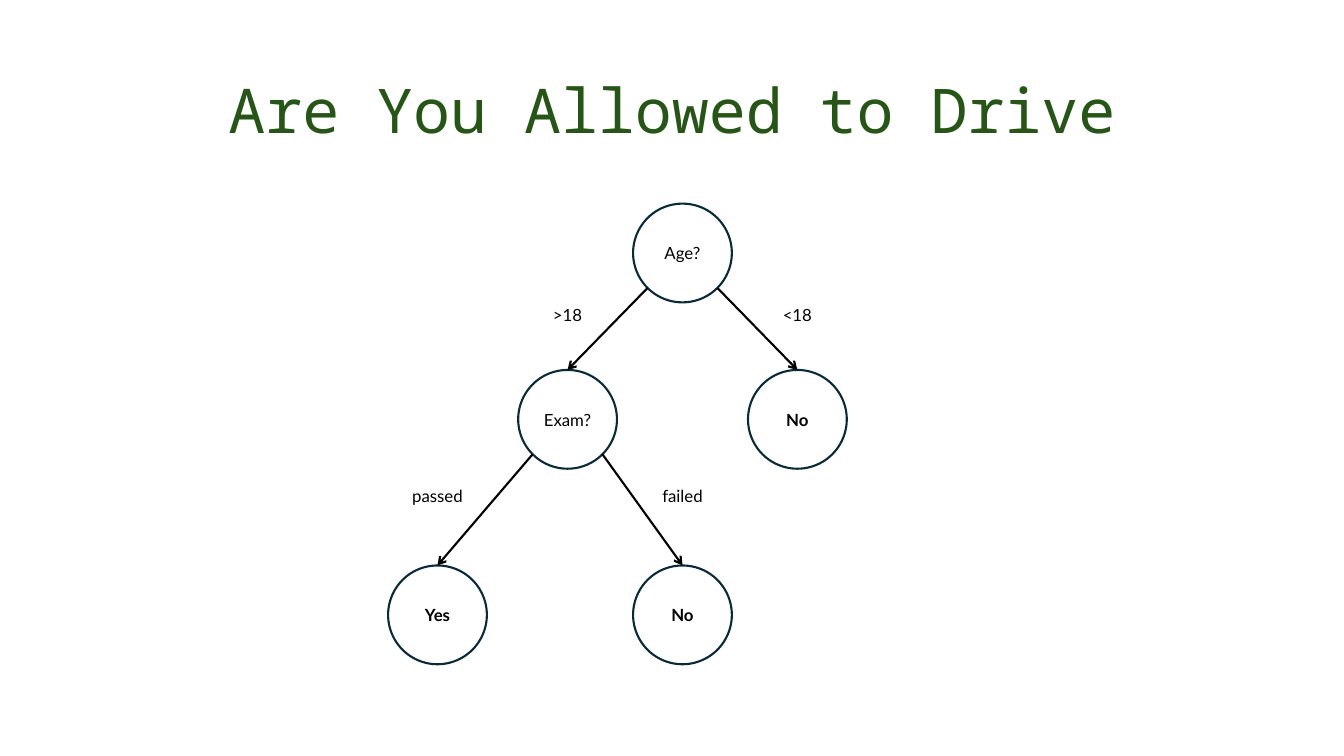
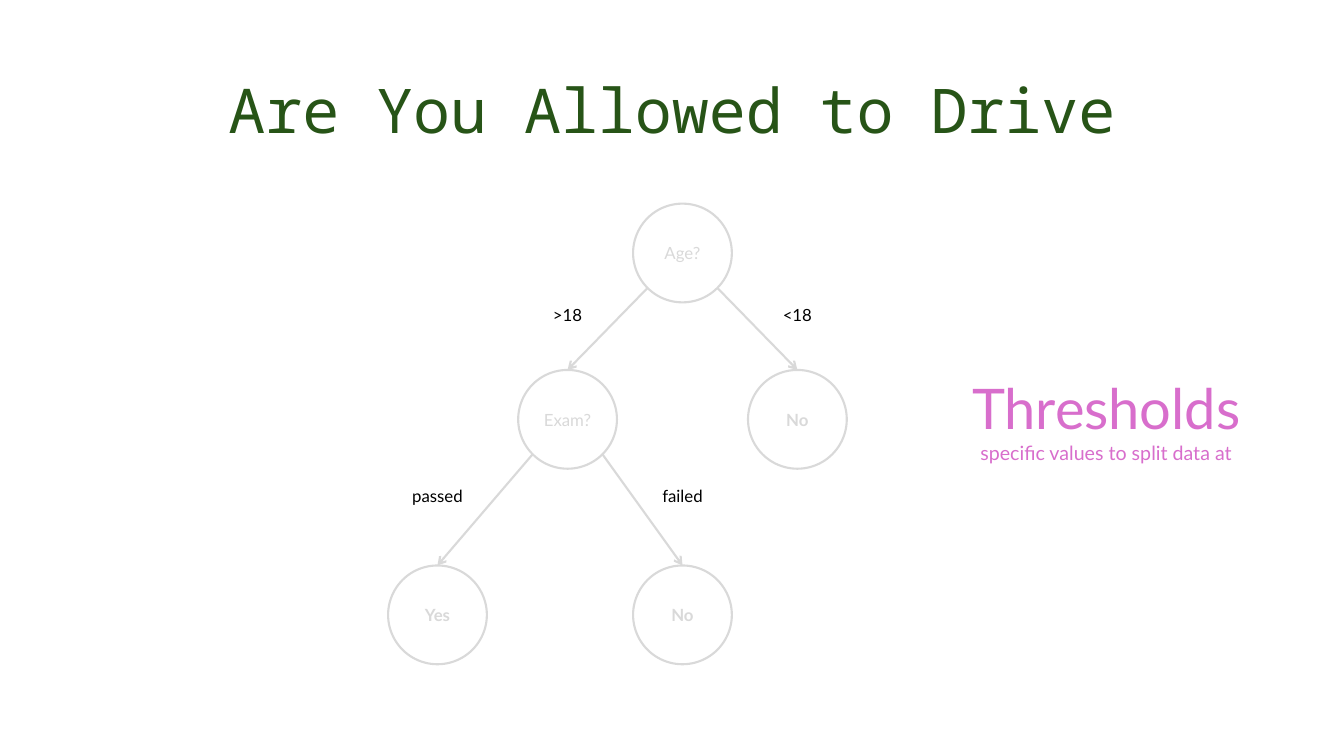
import math
import pptx
import pptx.dml.color
import pptx.enum.shapes
import pptx.enum.text
import pptx.oxml
import pptx.oxml.ns
import pptx.util

SHAPE = pptx.enum.shapes.MSO_SHAPE
LINK = pptx.enum.shapes.MSO_CONNECTOR
ANCHOR = pptx.enum.text.MSO_ANCHOR
GROW = pptx.enum.text.MSO_AUTO_SIZE.SHAPE_TO_FIT_TEXT
CENTER = pptx.enum.text.PP_ALIGN.CENTER

BLACK, NAVY, GREEN, PALE, PINK = "000000", "092A39", "275417", "D9D9D9", "D86ECC"

COLS = {"far": 32.55, "left": 42.23, "mid": 50.78, "right": 59.33}
ROWS = {"top": 33.47, "mid": 55.47, "low": 81.33}
GAPS = {"mid": 41.6, "low": 65.6}

NODES = {
    "age": ("Age?", "mid", "top", False),
    "young": ("No", "right", "mid", True),
    "exam": ("Exam?", "left", "mid", False),
    "fail": ("No", "mid", "low", True),
    "pass": ("Yes", "far", "low", True),
}
EDGES = [
    ("age", "exam", ">18"),
    ("age", "young", "<18"),
    ("exam", "fail", "failed"),
    ("exam", "pass", "passed"),
]


def paint(code):
    return pptx.dml.color.RGBColor.from_string(code)


def dress(item, **values):
    for name, value in values.items():
        setattr(item, name, value)


class Deck:
    def __init__(self):
        self.show = pptx.Presentation()
        dress(self.show, slide_width=pptx.util.Inches(13.333),
              slide_height=pptx.util.Inches(7.5))
        self.slide = None

    def wide(self, share):
        return round(self.show.slide_width * share / 100)

    def high(self, share):
        return round(self.show.slide_height * share / 100)

    def page(self, title):
        self.slide = self.show.slides.add_slide(self.show.slide_layouts[6])
        frame = self.text((6.9, 5.33, 86.25, 19.33), [(title, 44)], GREEN,
                          face="Noto Sans Mono", vertical_anchor=ANCHOR.MIDDLE)
        frame.paragraphs[0].line_spacing = 0.9

    def letter(self, frame, lines, ink, face="Lato", bold=False, **style):
        dress(frame, word_wrap=True, **style)
        for spot, (words, size) in enumerate(lines):
            para = frame.add_paragraph() if spot else frame.paragraphs[0]
            para.alignment = CENTER
            run = para.add_run()
            run.text = words
            dress(run.font, name=face, size=pptx.util.Pt(size), bold=bold)
            run.font.color.rgb = paint(ink)

    def text(self, area, lines, ink, **style):
        left, top, width, height = area
        box = self.slide.shapes.add_textbox(
            self.wide(left), self.high(top), self.wide(width), self.high(height))
        self.letter(box.text_frame, lines, ink, **style)
        return box.text_frame

    def label(self, words, col, row):
        self.text((col - 5.29, row - 2, 10.58, 4), [(words, 12)], BLACK,
                  auto_size=GROW)

    def stroke(self, item, ink):
        item.line.color.rgb = paint(ink)
        item.line.width = pptx.util.Pt(1.5)

    def node(self, words, col, row, bold, rim, ink):
        size = self.wide(7.35)
        disc = self.slide.shapes.add_shape(
            SHAPE.FLOWCHART_CONNECTOR, self.wide(col) - size // 2,
            self.high(row) - size // 2, size, size)
        disc.shadow.inherit = False
        disc.fill.background()
        self.stroke(disc, rim)
        self.letter(disc.text_frame, [(words, 12)], ink, bold=bold,
                    vertical_anchor=ANCHOR.MIDDLE, margin_left=0, margin_right=0)
        return disc

    def arrow(self, start, end, ink):
        half = start.width / 2
        side = math.copysign(1, end.left - start.left)
        reach = half * math.sqrt(0.5)
        line = self.slide.shapes.add_connector(
            LINK.STRAIGHT, round(start.left + half + side * reach),
            round(start.top + half + reach), end.left + end.width // 2, end.top)
        line.end_connect(end, 0)
        self.stroke(line, ink)
        space = pptx.oxml.ns.nsdecls("a")
        props = line.element.spPr
        props.find(pptx.oxml.ns.qn("a:ln")).append(
            pptx.oxml.parse_xml(f'<a:tailEnd {space} type="arrow"/>'))
        props.append(pptx.oxml.parse_xml(f"<a:effectLst {space}/>"))

    def tree(self, rim, ink):
        discs = {key: self.node(words, COLS[col], ROWS[row], bold, rim, ink)
                 for key, (words, col, row, bold) in NODES.items()}
        for start, end, words in EDGES:
            self.arrow(discs[start], discs[end], ink)
        for start, end, words in EDGES:
            col, row = NODES[end][1:3]
            self.label(words, COLS[col], GAPS[row])


def main():
    deck = Deck()
    for rim, ink in ((NAVY, BLACK), (PALE, PALE)):
        deck.page("Are You Allowed to Drive")
        deck.tree(rim, ink)
    deck.text((70.5, 48.8, 23.63, 13.47),
              [("Thresholds", 40), ("specific values to split data at", 14)],
              PINK, auto_size=GROW)
    deck.show.save("out.pptx")


if __name__ == "__main__":
    main()
